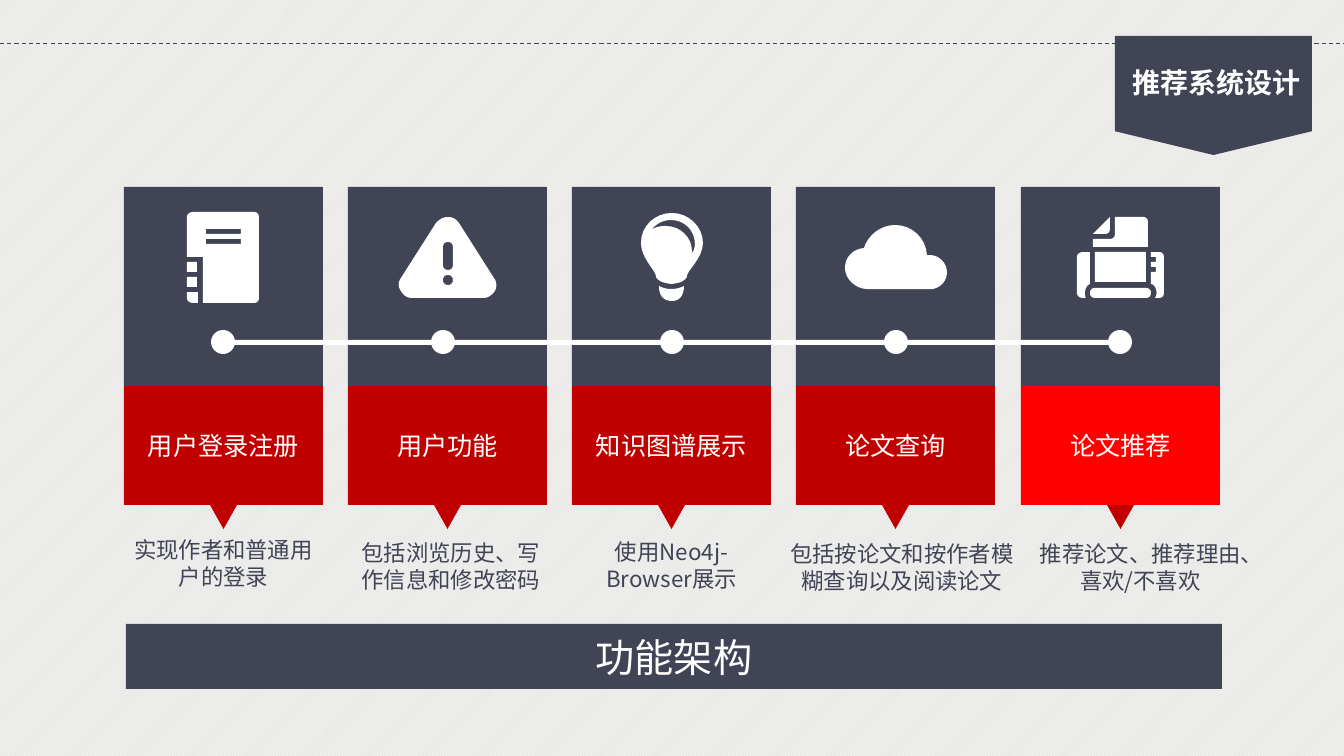
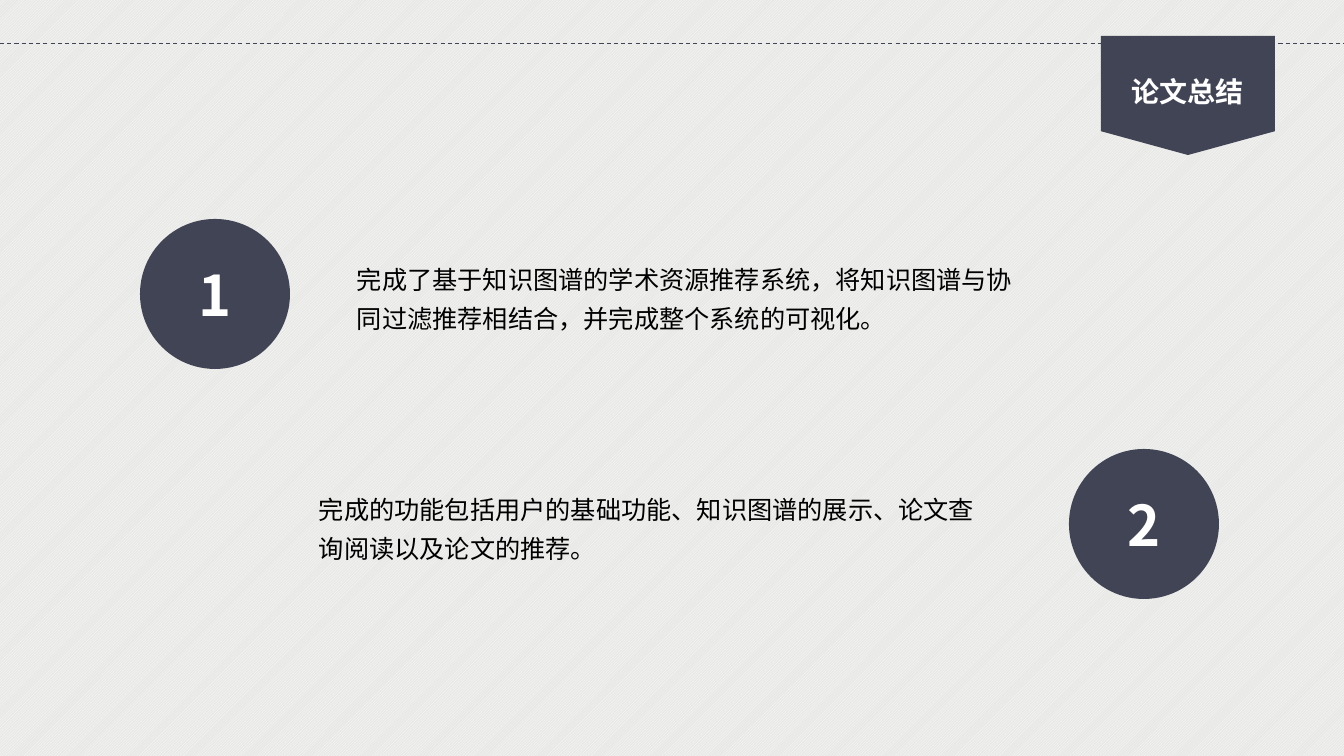
from dataclasses import dataclass

from lxml import etree
from pptx import Presentation
from pptx.dml.color import RGBColor
from pptx.enum.dml import MSO_LINE, MSO_PATTERN
from pptx.enum.shapes import MSO_CONNECTOR, MSO_SHAPE
from pptx.enum.text import MSO_ANCHOR, MSO_AUTO_SIZE, PP_ALIGN
from pptx.oxml.ns import qn
from pptx.util import Pt

RECTANGLE = MSO_SHAPE.RECTANGLE
ELLIPSE = MSO_SHAPE.OVAL
TRIANGLE = MSO_SHAPE.ISOSCELES_TRIANGLE
PENNANT = MSO_SHAPE.FLOWCHART_OFFPAGE_CONNECTOR
STRAIGHT = MSO_CONNECTOR.STRAIGHT
DASH = MSO_LINE.DASH
STRIPES = MSO_PATTERN.LIGHT_UPWARD_DIAGONAL
LEFT, CENTER = PP_ALIGN.LEFT, PP_ALIGN.CENTER
TOP, MIDDLE = MSO_ANCHOR.TOP, MSO_ANCHOR.MIDDLE
NO_FIT = MSO_AUTO_SIZE.NONE

EMU_PER_PX = 914400 / 100.8
PAGE_WIDTH, PAGE_HEIGHT = 1344, 756
CURVE_STEPS = 8


@dataclass(frozen=True)
class Theme:
    """Colours, font and type sizes of the deck."""
    font: str = "Noto Sans CJK SC"
    slate: RGBColor = RGBColor(0x41, 0x44, 0x55)
    crimson: RGBColor = RGBColor(0xC0, 0x00, 0x00)
    red: RGBColor = RGBColor(0xFF, 0x00, 0x00)
    white: RGBColor = RGBColor(0xFF, 0xFF, 0xFF)
    black: RGBColor = RGBColor(0x00, 0x00, 0x00)
    paper: RGBColor = RGBColor(0xE8, 0xE8, 0xE6)
    number: int = 40
    banner: int = 28
    title: int = 20
    body: int = 18
    caption: int = 16


THEME = Theme()

CARD_LEFT, CARD_SPAN, CARD_SIZE = 124, 897, 199
CARDS = [
    ("用户登录注册", THEME.crimson, 223,
     "实现作者和普通用户的登录", (124, 531, 199, 64)),
    ("用户功能", THEME.crimson, 443,
     "包括浏览历史、写作信息和修改密码", (348, 534, 206, 64)),
    ("知识图谱展示", THEME.crimson, 672,
     "使用Neo4j-Browser展示", (584, 533, 175, 64)),
    ("论文查询", THEME.crimson, 896,
     "包括按论文和按作者模糊查询以及阅读论文", (779, 535, 246, 64)),
    ("论文推荐", THEME.red, 1120,
     "推荐论文、推荐理由、喜欢/不喜欢", (1021, 535, 239, 64)),
]

NOTEBOOK = [
    "M 198 303 L 193 303 C 190 303 187 301 187 298 L 187 292 L 198 292 Z",
    "M 193 212 L 254 212 C 257 212 259 214 259 217 L 259 298 "
    "C 259 301 257 303 254 303 L 203 303 L 203 257 L 187 257 L 187 217 "
    "C 187 214 190 212 193 212 Z "
    "M 206 244 L 241 244 L 241 239 L 206 239 Z "
    "M 206 234 L 241 234 L 241 229 L 206 229 Z",
]
WARNING = [
    "M 436 223 C 440 219 443 217 448 217 C 453 217 456 219 459 223 "
    "L 494 278 C 497 282 497 287 495 291 C 492 295 488 298 484 298 "
    "L 412 298 C 407 298 403 295 401 291 C 398 287 398 282 401 278 Z "
    "M 448 285 C 451 285 453 283 453 280 C 453 277 451 275 448 275 "
    "C 445 275 443 277 443 280 C 443 283 445 285 448 285 Z "
    "M 443 265 C 443 268 445 270 448 270 C 451 270 453 268 453 265 "
    "L 453 247 C 453 244 451 242 448 242 C 445 242 443 244 443 247 Z",
]
BULB = [
    "M 661 287 C 664 288 667 289 670 289 L 673 289 "
    "C 676 289 679 288 682 287 L 684 286 C 684 295 680 301 672 301 "
    "C 663 301 659 295 659 286 Z",
    "M 672 213 C 688 213 703 226 703 243 C 703 258 687 271 687 276 "
    "C 687 278 685 280 681 282 C 679 283 676 283 673 284 L 672 284 "
    "C 669 284 666 283 662 282 C 658 280 656 278 656 276 "
    "C 656 271 641 258 641 243 C 641 226 655 213 672 213 Z "
    "M 666 226 C 680 226 692 237 692 251 L 692 253 "
    "C 694 251 695 247 695 244 C 695 231 685 220 671 220 "
    "C 663 220 656 224 651 230 C 655 227 660 226 666 226 Z",
]
CLOUD = [
    "M 864 248 C 868 235 881 225 895 225 C 912 225 926 238 927 255 "
    "L 930 255 C 939 255 947 263 947 272 C 947 280 942 287 933 289 "
    "L 867 289 C 856 289 845 279 845 268 C 845 257 853 249 864 248 Z",
]
PRINTER = [
    "M 1083 252 L 1090 252 L 1090 284 C 1087 285 1085 289 1085 293 "
    "C 1085 295 1085 297 1086 298 L 1083 298 C 1080 298 1077 296 1077 293 "
    "L 1077 257 C 1077 254 1080 252 1083 252 Z",
    "M 1095 288 L 1146 288 C 1149 288 1151 290 1151 293 "
    "C 1151 296 1149 298 1146 298 L 1095 298 C 1092 298 1090 296 1090 293 "
    "C 1090 290 1092 288 1095 288 Z",
    "M 1151 284 L 1151 272 L 1156 272 L 1156 267 L 1151 267 L 1151 262 "
    "L 1156 262 L 1156 257 L 1151 257 L 1151 252 L 1159 252 "
    "C 1162 252 1164 254 1164 257 L 1164 293 C 1164 296 1162 298 1159 298 "
    "L 1155 298 C 1157 295 1157 292 1156 289 C 1155 286 1153 284 1151 284 Z",
    "M 1105 234 L 1093 234 L 1110 217 L 1110 229 C 1110 232 1108 234 1105 234 Z",
    "M 1093 239 L 1110 239 C 1113 239 1115 237 1115 234 L 1115 217 "
    "L 1143 217 C 1146 217 1148 219 1148 222 L 1148 247 L 1093 247 Z",
]
ICONS = [NOTEBOOK, WARNING, BULB, CLOUD, PRINTER]
ICON_BLOCKS = [(187, 262, 10, 10), (187, 277, 10, 10), (1095, 252, 51, 30)]

SUMMARIES = [
    ("1", (140, 219, 150, 150), (347, 250, 695, 90),
     "完成了基于知识图谱的学术资源推荐系统，将知识图谱与协同过滤推荐相结合，并完成整个系统的可视化。"),
    ("2", (1069, 449, 150, 150), (309, 480, 695, 90),
     "完成的功能包括用户的基础功能、知识图谱的展示、论文查询阅读以及论文的推荐。"),
]


def px(length):
    """Turn px into EMU."""
    return round(length * EMU_PER_PX)


def set_values(target, values):
    """Set each named attribute of the target."""
    for name, value in values.items():
        setattr(target, name, value)


def curve_points(start, first, second, end):
    """Return points along a cubic curve, without its start."""
    points = []
    for step in range(1, CURVE_STEPS + 1):
        t = step / CURVE_STEPS
        weights = ((1 - t) ** 3, 3 * t * (1 - t) ** 2, 3 * t * t * (1 - t), t ** 3)
        corners = (start, first, second, end)
        points.append(tuple(sum(weight * corner[axis] for weight, corner
                                in zip(weights, corners)) for axis in (0, 1)))
    return points


def contours(outline):
    """Turn an outline of M, L, C and Z commands into lists of points."""
    result = []
    tokens = iter(outline.split())
    for command in tokens:
        if command == "Z":
            continue
        pairs = [(int(next(tokens)), int(next(tokens)))
                 for _ in range(3 if command == "C" else 1)]
        if command == "M":
            result.append(pairs)
        elif command == "L":
            result[-1].extend(pairs)
        else:
            result[-1].extend(curve_points(result[-1][-1], *pairs))
    return [[(px(x), px(y)) for x, y in points] for points in result]


class Deck:
    """Holds the style and the current slide."""

    def __init__(self, theme):
        """Start a presentation with a striped background."""
        self.theme = theme
        self.show = Presentation()
        set_values(self.show, {"slide_width": px(PAGE_WIDTH),
                               "slide_height": px(PAGE_HEIGHT)})
        fill = self.show.slide_master.background.fill
        fill.patterned()
        fill.pattern = STRIPES
        fill.fore_color.rgb = theme.white
        fill.back_color.rgb = theme.paper
        self.page = None

    def new_page(self, title, title_place, badge_place, align):
        """Add a slide with the dashed rule and the title on its badge."""
        self.page = self.show.slides.add_slide(self.show.slide_layouts[5])
        heading = self.page.shapes.title
        rule = self.rule(44)
        badge = self.shape(PENNANT, badge_place, self.theme.slate)
        for backdrop in (rule, badge):
            heading.element.addprevious(backdrop.element)
        set_values(heading, dict(zip(("left", "top", "width", "height"),
                                     map(px, title_place))))
        self.set_text(heading, title, self.theme.title, self.theme.white,
                      align=align, bold=True, wrap=False)

    def rule(self, y):
        """Draw a dashed line across the slide."""
        line = self.page.shapes.add_connector(STRAIGHT, 0, px(y), px(PAGE_WIDTH), px(y))
        line.line.color.rgb = self.theme.slate
        set_values(line.line, {"width": Pt(0.75), "dash_style": DASH})
        etree.SubElement(line.element.spPr, qn("a:effectLst"))
        return line

    def paint(self, shape, color):
        """Give a shape a flat fill without line or shadow."""
        shape.shadow.inherit = False
        shape.fill.solid()
        shape.fill.fore_color.rgb = color
        shape.line.fill.background()
        return shape

    def shape(self, kind, place, color):
        """Add a flat preset shape."""
        return self.paint(self.page.shapes.add_shape(kind, *map(px, place)), color)

    def outline(self, outline, color):
        """Add a flat freeform with any number of contours."""
        first, *others = contours(outline)
        builder = self.page.shapes.build_freeform(*first[0])
        builder.add_line_segments(first[1:], close=True)
        for points in others:
            builder.move_to(*points[0])
            builder.add_line_segments(points[1:], close=True)
        self.paint(builder.convert_to_shape(), color)

    def label(self, kind, place, color, text, size, bold=False):
        """Add a shape with white centred text."""
        box = self.shape(kind, place, color)
        self.set_text(box, text, size, self.theme.white, CENTER, MIDDLE, bold)

    def text(self, place, text, size, color, align=LEFT, spacing=1.0):
        """Add a wrapping text box."""
        box = self.page.shapes.add_textbox(*map(px, place))
        self.set_text(box, text, size, color, align, spacing=spacing)

    def set_text(self, box, text, size, color, align=LEFT, anchor=TOP,
                 bold=False, spacing=1.0, wrap=True):
        """Fill a box with one formatted paragraph."""
        set_values(box.text_frame, {"word_wrap": wrap, "auto_size": NO_FIT,
                                    "vertical_anchor": anchor})
        para = box.text_frame.paragraphs[0]
        set_values(para, {"alignment": align, "line_spacing": spacing})
        span = para.add_run()
        span.text = text
        set_values(span.font, {"name": self.theme.font, "size": Pt(size), "bold": bold})
        span.font.color.rgb = color
        east_asian = etree.SubElement(span._r.get_or_add_rPr(), qn("a:ea"))
        east_asian.set("typeface", self.theme.font)


def features_page(deck):
    """Build the five feature cards."""
    theme = deck.theme
    deck.new_page("推荐系统设计", (1122, 60, 190, 44), (1115, 36, 197, 119), LEFT)
    for index, (name, color, dot, note, note_place) in enumerate(CARDS):
        left = CARD_LEFT + index * CARD_SPAN // (len(CARDS) - 1)
        deck.shape(RECTANGLE, (left, 187, CARD_SIZE, CARD_SIZE), theme.slate)
        deck.label(RECTANGLE, (left, 386, CARD_SIZE, 119), color, name, theme.body)
        pointer = deck.shape(TRIANGLE, (left + 86, 505, 27, 24), theme.crimson)
        pointer.rotation = 180
        deck.shape(ELLIPSE, (dot - 12, 330, 24, 24), theme.white)
        deck.text(note_place, note, theme.caption, theme.slate, CENTER)
        for outline in ICONS[index]:
            deck.outline(outline, theme.white)
    for place in ICON_BLOCKS + [(216, 340, CARD_SPAN, 5)]:
        deck.shape(RECTANGLE, place, theme.white)
    deck.label(RECTANGLE, (126, 624, 1096, 65), theme.slate, "功能架构", theme.banner)


def summary_page(deck):
    """Build the two numbered conclusions."""
    theme = deck.theme
    deck.new_page("论文总结", (1121, 69, 133, 44), (1101, 36, 174, 119), CENTER)
    for number, circle, place, text in SUMMARIES:
        deck.label(ELLIPSE, circle, theme.slate, number, theme.number, bold=True)
        deck.text(place, text, theme.body, theme.black, spacing=1.3)


def main():
    """Build and save the deck."""
    deck = Deck(THEME)
    features_page(deck)
    summary_page(deck)
    deck.show.save("out.pptx")


if __name__ == "__main__":
    main()
